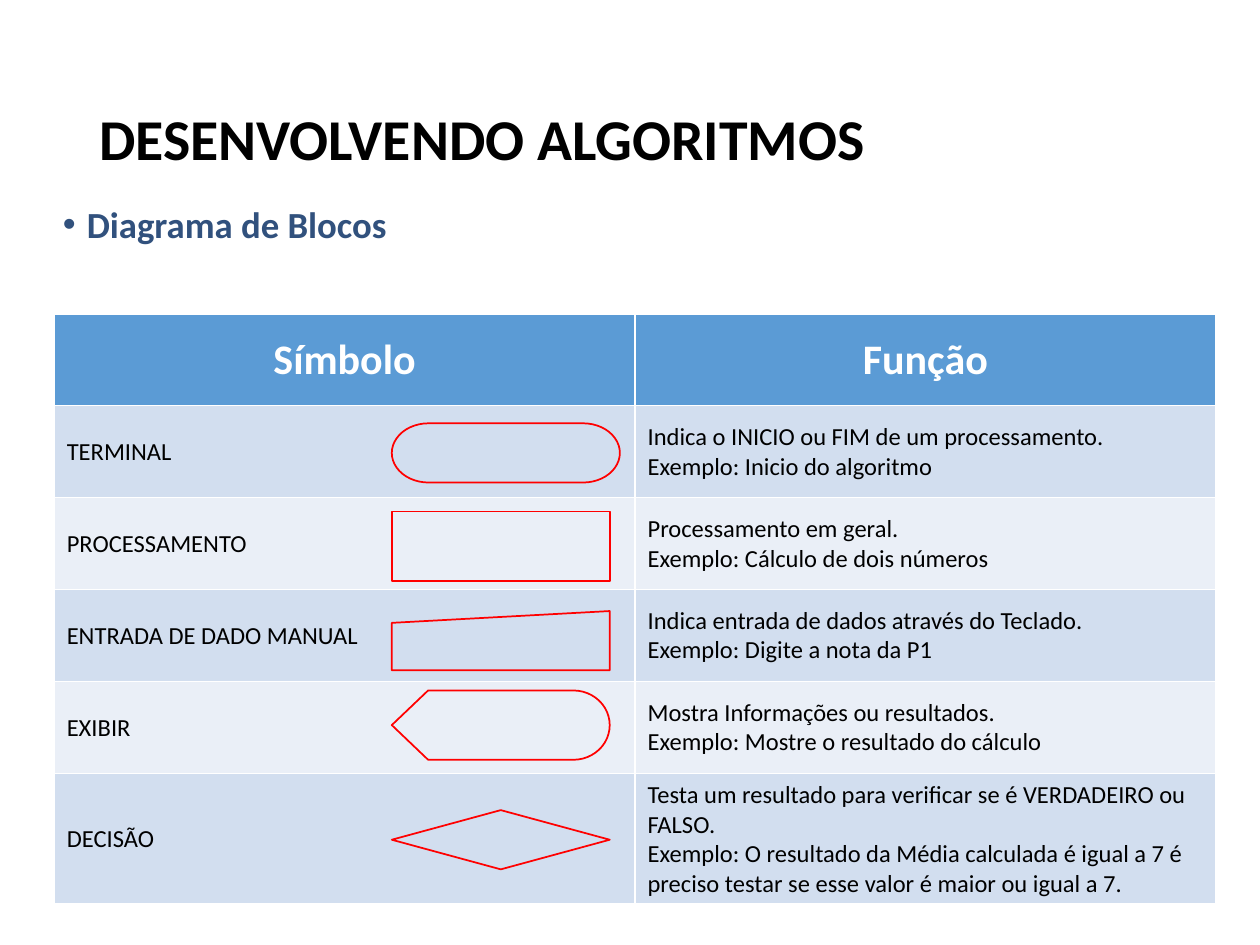
from lxml import etree
from pptx import Presentation
from pptx import util as u
from pptx.dml.color import RGBColor
from pptx.enum import shapes, text
from pptx.oxml.ns import qn

BLACK = RGBColor(0x00, 0x00, 0x00)
WHITE = RGBColor(0xFF, 0xFF, 0xFF)
NAVY = RGBColor(0x31, 0x51, 0x7D)
RED = RGBColor(0xFF, 0x00, 0x00)
HEADER_BLUE = RGBColor(0x5B, 0x9B, 0xD5)
BANDS = (RGBColor(0xD2, 0xDE, 0xEF), RGBColor(0xEA, 0xEF, 0xF7))

TITLE = "DESENVOLVENDO ALGORITMOS"
SUBJECT = "Diagrama de Blocos"
HEADERS = ("Símbolo", "Função")
KIND = shapes.MSO_SHAPE
SYMBOLS = [
    ("TERMINAL", "Indica o INICIO ou FIM de um processamento.",
     "Exemplo: Inicio do algoritmo",
     KIND.FLOWCHART_TERMINATOR, 3.36, 1.81, 0.47),
    ("PROCESSAMENTO", "Processamento em geral.",
     "Exemplo: Cálculo de dois números",
     KIND.FLOWCHART_PROCESS, 4.06, 1.73, 0.55),
    ("ENTRADA DE DADO MANUAL", "Indica entrada de dados através do Teclado.",
     "Exemplo: Digite a nota da P1",
     KIND.FLOWCHART_MANUAL_INPUT, 4.85, 1.73, 0.47),
    ("EXIBIR", "Mostra Informações ou resultados.",
     "Exemplo: Mostre o resultado do cálculo",
     KIND.FLOWCHART_DISPLAY, 5.48, 1.73, 0.55),
    ("DECISÃO", "Testa um resultado para verificar se é VERDADEIRO ou FALSO.",
     "Exemplo: O resultado da Média calculada é igual a 7 é preciso testar "
     "se esse valor é maior ou igual a 7.",
     KIND.FLOWCHART_DECISION, 6.43, 1.73, 0.47),
]
SYMBOL_LEFT = 3.11
TABLE_LEFT, TABLE_TOP = 0.43, 2.49
COLUMN_WIDTH, ROW_HEIGHT = 4.61, 0.73


def write(frame, lines, size=14, color=BLACK, bold=False,
          align=text.PP_ALIGN.LEFT, spacing=None):
    for index, line in enumerate(lines):
        paragraph = frame.paragraphs[0] if index == 0 else frame.add_paragraph()
        paragraph.alignment = align
        if spacing:
            paragraph.line_spacing = spacing
        run = paragraph.add_run()
        run.text = line
        run.font.name = "Calibri"
        run.font.size = u.Pt(size)
        run.font.bold = bold
        run.font.color.rgb = color


def place(left, top, width, height):
    return [u.Inches(length) for length in (left, top, width, height)]


presentation = Presentation()
presentation.slide_width = u.Inches(10)
presentation.slide_height = u.Inches(7.5)
slide = presentation.slides.add_slide(presentation.slide_layouts[5])

title = slide.shapes.title
title.left, title.top, title.width, title.height = place(0.69, 0.4, 8.62, 1.45)
title.text_frame.auto_size = text.MSO_AUTO_SIZE.NONE
title.text_frame.vertical_anchor = text.MSO_ANCHOR.MIDDLE
write(title.text_frame, [TITLE], size=33, bold=True, spacing=0.9)

subject = slide.shapes.add_textbox(*place(0.4, 1.59, 9.19, 0.66)).text_frame
subject.word_wrap = True
write(subject, [SUBJECT], size=21, color=NAVY, bold=True, spacing=0.9)
subject.paragraphs[0].space_before = u.Pt(7.5)
properties = subject.paragraphs[0]._p.get_or_add_pPr()
properties.set("marL", str(u.Inches(0.19)))
properties.set("indent", str(-u.Inches(0.19)))
etree.SubElement(properties, qn("a:buFont")).set("typeface", "Arial")
etree.SubElement(properties, qn("a:buChar")).set("char", "•")

row_count = len(SYMBOLS) + 1
table = slide.shapes.add_table(
    row_count, len(HEADERS),
    *place(TABLE_LEFT, TABLE_TOP, COLUMN_WIDTH * len(HEADERS), ROW_HEIGHT * row_count)).table
rows = [[[header] for header in HEADERS]]
rows += [[[name], [purpose, example]] for name, purpose, example, *_ in SYMBOLS]
for row_index, row in enumerate(rows):
    for column_index, lines in enumerate(row):
        cell = table.cell(row_index, column_index)
        cell.vertical_anchor = text.MSO_ANCHOR.MIDDLE
        cell.fill.solid()
        if row_index == 0:
            cell.fill.fore_color.rgb = HEADER_BLUE
            write(cell.text_frame, lines, size=24, color=WHITE, bold=True,
                  align=text.PP_ALIGN.CENTER)
        else:
            cell.fill.fore_color.rgb = BANDS[(row_index - 1) % 2]
            write(cell.text_frame, lines)

for *_, kind, top, width, height in SYMBOLS:
    symbol = slide.shapes.add_shape(kind, *place(SYMBOL_LEFT, top, width, height))
    symbol.shadow.inherit = False
    symbol.fill.background()
    symbol.line.color.rgb = RED
    symbol.line.width = u.Pt(1)

presentation.save("out.pptx")
